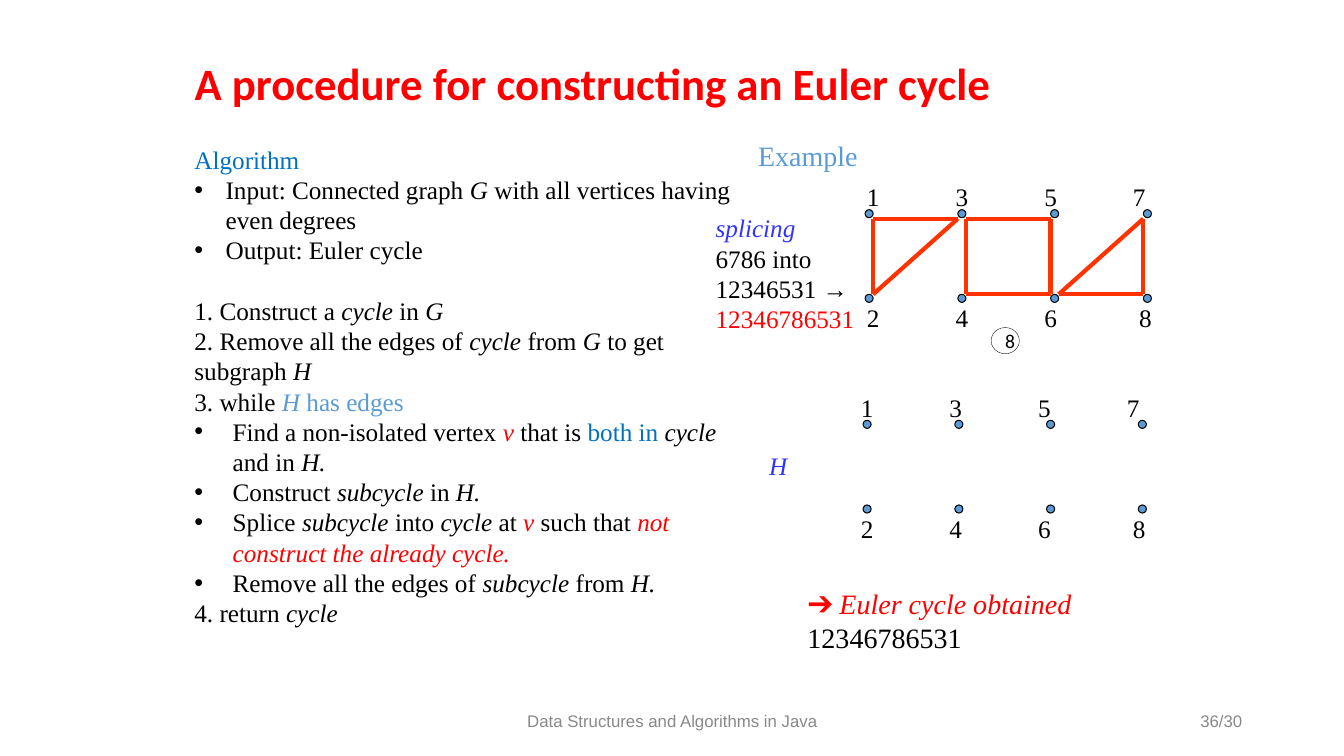
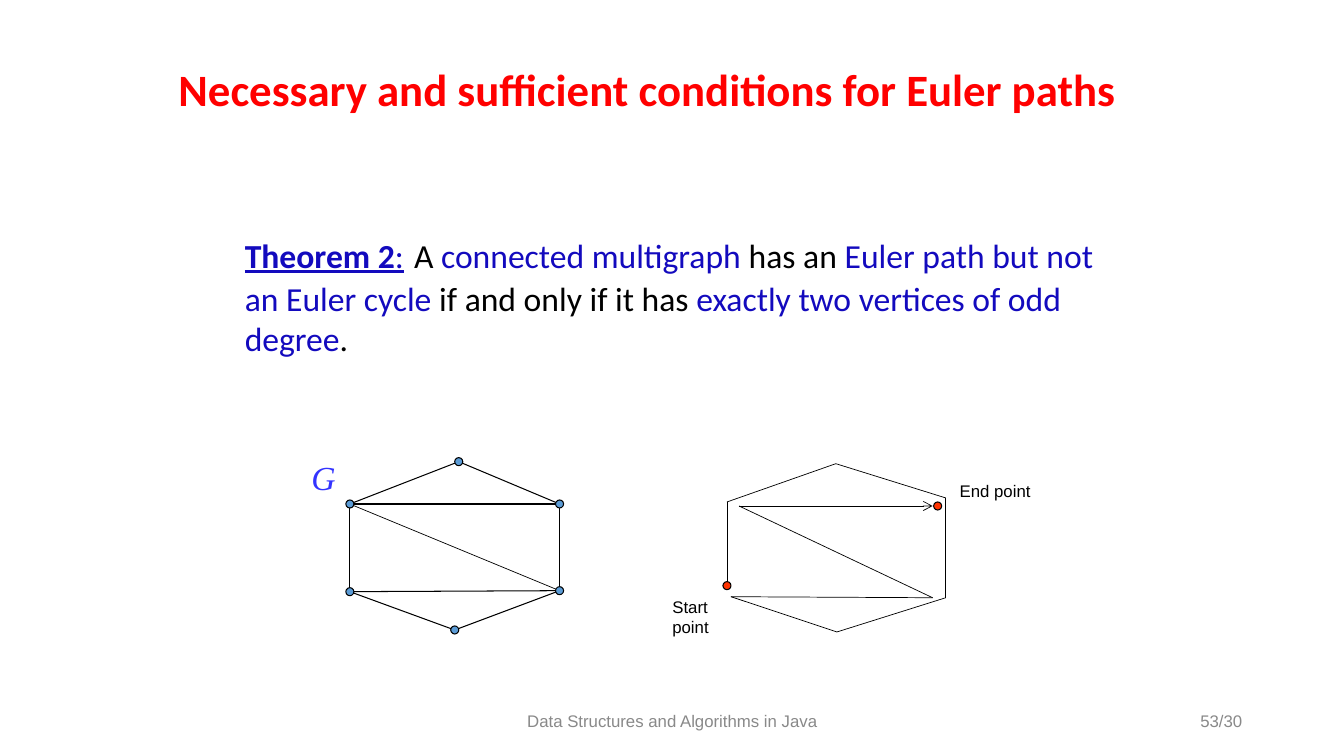
from itertools import pairwise

from lxml import etree
from pptx import Presentation
from pptx.dml.color import RGBColor
from pptx.enum.shapes import MSO_CONNECTOR as Connector, MSO_SHAPE as Shape
from pptx.enum.text import MSO_ANCHOR as Anchor, PP_ALIGN as Align
from pptx.oxml.ns import qn
from pptx.util import Inches, Pt

COLORS = {
    "black": "000000", "white": "FFFFFF", "grey": "898989", "red": "FF0000",
    "orange": "FF3300", "blue": "0070C0", "sky": "5B9BD5", "violet": "3333FF",
    "navy": "130ABE",
}
SERIF, SANS, BODY = "Times New Roman", "Arial", "Calibri"
FOOTER = "Data Structures and Algorithms in Java"
DOT = 0.08

# A run is plain text or (text, style words); a paragraph is a list of runs.
CYCLE = ("cycle", "italic")
SUBCYCLE = ("subcycle", "italic")
G = ("G", "italic")
H = ("H", "italic")
H_END = ("H.", "italic")
V = ("v ", "red italic")

# (hanging indent of the bullet, runs)
ALGORITHM = [
    (0, [("Algorithm", "blue")]),
    (0.31, ["Input: Connected graph ", G, " with all vertices having even degrees"]),
    (0.31, ["Output: Euler cycle"]),
    (0, ["1. Construct a ", CYCLE, " in ", G]),
    (0, ["2. Remove all the edges of ", CYCLE, " from ", G, " to get subgraph ", H]),
    (0, ["3. while ", ("H", "sky italic"), (" has edges", "sky")]),
    (0.38, ["Find a non-isolated vertex ", V, "that is ", ("both in ", "blue"),
            CYCLE, " and in ", H_END]),
    (0.38, ["Construct ", SUBCYCLE, " in ", H_END]),
    (0.38, ["Splice ", SUBCYCLE, " into ", CYCLE, " at ", V, "such that ",
            ("not construct the already cycle.", "red italic")]),
    (0.38, ["Remove all the edges of ", SUBCYCLE, " from ", H_END]),
    (0, ["4. return ", CYCLE]),
]
INPUT_END = 2  # last paragraph of the input and output part

SPLICING = [
    [("splicing", "violet italic")],
    ["6786 into"],
    ["12346531 →"],
    [("12346786531", "red")],
]
RESULT = [[("➔ Euler cycle obtained", "red italic")], ["12346786531"]]

# Each end names a vertex and the side of its dot, left or right
LADDER_EDGES = ["1R 3L", "3R 5L", "4R 6L", "6R 8L", "1R 2R",
                "3R 4R", "5L 6L", "7L 8L", "3L 2R", "7L 6R"]

THEOREM = [[
    ("Theorem 2", "navy bold underline"), (":", "navy underline"), (" ", "large"),
    "A ", ("connected multigraph ", "navy"), "has an ",
    ("Euler path but not an Euler cycle", "navy"), " if and only if it has ",
    ("exactly two vertices of odd degree", "navy"), ".",
]]

HEXAGON = {
    "top": (4.55, 4.58), "upper left": (3.47, 5), "upper right": (5.55, 5),
    "lower left": (3.47, 5.87), "lower right": (5.55, 5.86), "bottom": (4.51, 6.25),
}
HEXAGON_EDGES = [
    ("upper left", "top", 0.75), ("top", "upper right", 0.75),
    ("upper left", "upper right", 0.75), ("upper right", "lower right", 0.75),
    ("lower left", "lower right", 0.75), ("lower left", "bottom", 0.75),
    ("bottom", "lower right", 0.75), ("upper left", "lower left", 0.5),
    ("upper left", "lower right", 0.5),
]
EULER_PATH = [
    (7.21, 5.77), (7.21, 4.98), (8.29, 4.6), (9.38, 4.94), (9.38, 5.93),
    (8.3, 6.27), (7.25, 5.92), (9.25, 5.93), (7.33, 5.02), (9.25, 5.02),
]
PATH_ENDS = [(7.21, 5.81), (9.3, 5.02)]


def rgb(name):
    return RGBColor.from_string(COLORS[name])


def format_run(run, size, font, color, style=""):
    words = style.split()
    run.font.name = font
    run.font.size = Pt(32 if "large" in words else size)
    run.font.bold = "bold" in words
    run.font.italic = "italic" in words
    run.font.underline = "underline" in words
    run.font.color.rgb = rgb(next((word for word in words if word in COLORS), color))


def add_text(slide, box, paragraphs, size, font=SERIF, color="black",
             align=Align.LEFT, anchor=Anchor.TOP):
    text_box = slide.shapes.add_textbox(*map(Inches, box))
    frame = text_box.text_frame
    frame.word_wrap = True
    frame.vertical_anchor = anchor
    for index, runs in enumerate(paragraphs):
        paragraph = frame.add_paragraph() if index else frame.paragraphs[0]
        paragraph.alignment = align
        for item in runs:
            text, style = (item, "") if isinstance(item, str) else item
            run = paragraph.add_run()
            run.text = text
            format_run(run, size, font, color, style)
    return text_box


def add_bullet(paragraph, indent):
    properties = paragraph._p.get_or_add_pPr()
    properties.set("marL", str(Inches(indent)))
    properties.set("indent", str(-Inches(indent)))
    etree.SubElement(properties, qn("a:buFont")).set("typeface", SANS)
    etree.SubElement(properties, qn("a:buChar")).set("char", "•")


def add_ellipse(slide, center, width, height, fill, line_width=0.75):
    x, y = center
    ellipse = slide.shapes.add_shape(
        Shape.OVAL, Inches(x - width / 2), Inches(y - height / 2),
        Inches(width), Inches(height))
    ellipse.shadow.inherit = False
    ellipse.fill.solid()
    ellipse.fill.fore_color.rgb = rgb(fill)
    ellipse.line.color.rgb = rgb("black")
    ellipse.line.width = Pt(line_width)
    return ellipse


def add_dot(slide, center, fill="sky"):
    add_ellipse(slide, center, DOT, DOT, fill)


def add_line(slide, start, end, width, color="black"):
    line = slide.shapes.add_connector(
        Connector.STRAIGHT, *map(Inches, (*start, *end)))
    line.line.color.rgb = rgb(color)
    line.line.width = Pt(width)
    etree.SubElement(line._element.spPr, qn("a:effectLst"))
    return line


def add_arrowhead(line):
    etree.SubElement(line.line._get_or_add_ln(), qn("a:tailEnd")).set("type", "arrow")


def add_slide(presentation, title, title_box, page):
    slide = presentation.slides.add_slide(presentation.slide_layouts[5])
    shape = slide.shapes.title
    shape.left, shape.top, shape.width, shape.height = map(Inches, title_box)
    shape.text_frame.text = title
    shape.text_frame.vertical_anchor = Anchor.MIDDLE
    paragraph = shape.text_frame.paragraphs[0]
    paragraph.alignment = Align.LEFT
    paragraph.line_spacing = 0.9
    format_run(paragraph.runs[0], 32, BODY, "red", "bold")
    for box, text, align in (((4.42, 6.95, 4.5, 0.4), FOOTER, Align.CENTER),
                             ((9.42, 6.95, 3, 0.4), page, Align.RIGHT)):
        add_text(slide, box, [[text]], 12, SANS, "grey", align, Anchor.MIDDLE)
    return slide


def add_ladder(slide, left, top, step, label_left, edges=()):
    """Draw vertices 1 to 8 in two rows, odd numbers above even ones."""
    for vertex in range(1, 9):
        column, row = divmod(vertex - 1, 2)
        add_dot(slide, (left + column * step, top + row * 0.84))
        x = label_left + column * 0.88 + (0.06 if vertex == 8 else 0)
        y = top - 0.37 + row * 1.2
        add_text(slide, (x - 0.2, y, 0.4, 0.4), [[str(vertex)]], 18,
                 align=Align.CENTER)

    def edge_end(code):
        column, row = divmod(int(code[0]) - 1, 2)
        side = DOT / 2 if code[1] == "R" else -DOT / 2
        return left + column * step + side, top + 0.05 + row * 0.75

    for edge in edges:
        start, end = map(edge_end, edge.split())
        add_line(slide, start, end, 3, "orange")


def build_procedure(presentation):
    slide = add_slide(presentation, "A procedure for constructing an Euler cycle",
                      (1.83, 0.56, 9.42, 0.59), "36/30")
    steps = add_text(slide, (1.83, 1.38, 5.67, 4.95),
                     [runs for _, runs in ALGORITHM], 18)
    paragraphs = steps.text_frame.paragraphs
    for paragraph, (indent, _) in zip(paragraphs, ALGORITHM):
        if indent:
            add_bullet(paragraph, indent)
    paragraphs[INPUT_END].space_after = Pt(21.5)

    add_text(slide, (7.42, 1.33, 3.94, 0.44), [[("Example", "sky")]], 20)
    add_ladder(slide, 8.62, 2.12, 0.92, 8.66, LADDER_EDGES)
    add_text(slide, (7, 2.06, 1.6, 1.62), SPLICING, 18)
    badge = add_ellipse(slide, (9.97, 3.38), 0.28, 0.26, "white", 0.25)
    badge.text_frame.text = "8"
    format_run(badge.text_frame.paragraphs[0].runs[0], 14, BODY, "black")
    add_ladder(slide, 8.6, 4.21, 0.91, 8.6)
    add_text(slide, (7.53, 4.42, 0.5, 0.4), [[("H", "violet italic")]], 18)
    add_text(slide, (7.91, 5.77, 3.09, 0.77), RESULT, 20)


def build_conditions(presentation):
    slide = add_slide(presentation,
                      "Necessary and sufficient conditions for Euler paths",
                      (1.67, 0.5, 10, 0.83), "53/30")
    add_text(slide, (2.33, 2.17, 8.83, 1.45), THEOREM, 24, BODY)

    for start, end, width in HEXAGON_EDGES:
        add_line(slide, HEXAGON[start], HEXAGON[end], width)
    for center in HEXAGON.values():
        add_dot(slide, center)
    add_text(slide, (2.99, 4.48, 0.5, 0.5), [[("G", "violet italic")]], 24)

    lines = [add_line(slide, start, end, 0.5) for start, end in pairwise(EULER_PATH)]
    add_arrowhead(lines[-1])
    for center in PATH_ENDS:
        add_dot(slide, center, "orange")
    add_text(slide, (6.57, 5.87, 0.58, 0.51), [["Start point"]], 12, SANS)
    add_text(slide, (9.42, 4.72, 1.33, 0.3), [["End point"]], 12, SANS)


def main():
    presentation = Presentation()
    presentation.slide_width = Inches(13.33)
    presentation.slide_height = Inches(7.5)
    build_procedure(presentation)
    build_conditions(presentation)
    presentation.save("out.pptx")


if __name__ == "__main__":
    main()
